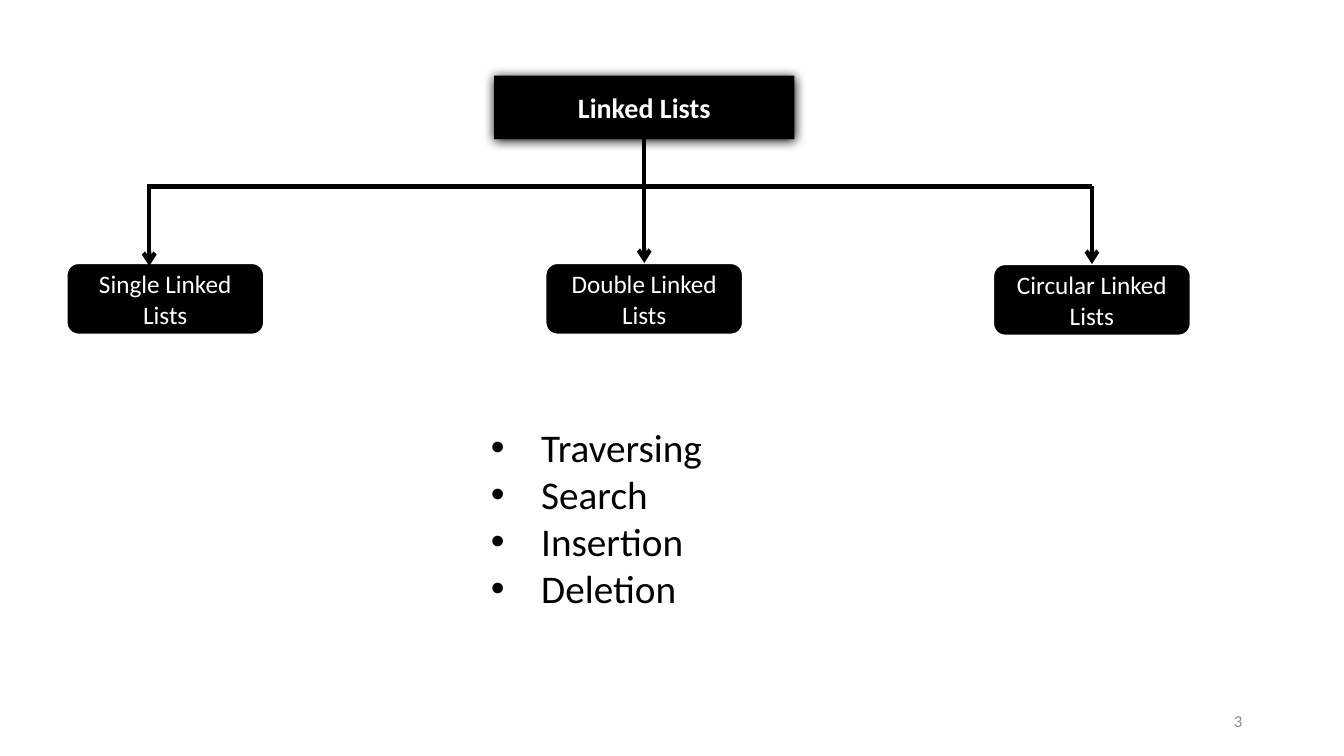
from lxml import etree
from pptx import Presentation
from pptx.dml.color import RGBColor
from pptx.enum.shapes import MSO_CONNECTOR, MSO_SHAPE
from pptx.enum.text import MSO_ANCHOR, PP_ALIGN
from pptx.oxml import parse_xml
from pptx.oxml.ns import nsdecls, qn
from pptx.util import Pt

PX = 9144
BLACK = RGBColor(0x00, 0x00, 0x00)
WHITE = RGBColor(0xFF, 0xFF, 0xFF)
OFF_WHITE = RGBColor(0xFD, 0xFD, 0xFD)
GRAY = RGBColor(0x8C, 0x8C, 0x8C)
RECT = MSO_SHAPE.RECTANGLE
ROUNDED = MSO_SHAPE.ROUNDED_RECTANGLE
STRAIGHT = MSO_CONNECTOR.STRAIGHT
MIDDLE = MSO_ANCHOR.MIDDLE
CENTER, RIGHT, LEFT = PP_ALIGN.CENTER, PP_ALIGN.RIGHT, PP_ALIGN.LEFT
BOTTOM_SITE, TOP_SITE = 2, 0


def write(sp, lines, align, size, color, bold=False):
    tf = sp.text_frame
    tf.word_wrap = True
    for i, line in enumerate(lines):
        p = tf.paragraphs[0] if i == 0 else tf.add_paragraph()
        p.alignment = align
        r = p.add_run()
        r.text = line
        font = {"name": "Calibri", "size": Pt(size), "bold": bold}
        for key, value in font.items():
            setattr(r.font, key, value)
        r.font.color.rgb = color
    return tf


def connect(x1, y1, x2, y2, arrow=False):
    line = s.shapes.add_connector(STRAIGHT, x1 * PX, y1 * PX, x2 * PX, y2 * PX)
    line.line.color.rgb = BLACK
    line.line.width = Pt(3)
    if arrow:
        ln = line.line._get_or_add_ln()
        etree.SubElement(ln, qn("a:tailEnd"), type="arrow")
    etree.SubElement(line._element.spPr, qn("a:effectLst"))
    return line


prs = Presentation()
prs.slide_width, prs.slide_height = 1333 * PX, 750 * PX
s = prs.slides.add_slide(prs.slide_layouts[6])

number = s.shapes.add_textbox(942 * PX, 695 * PX, 300 * PX, 40 * PX)
write(number, ["3"], RIGHT, 12, GRAY).vertical_anchor = MIDDLE

root = s.shapes.add_shape(RECT, 490 * PX, 75 * PX, 298 * PX, 63 * PX)
root.fill.solid()
root.fill.fore_color.rgb = BLACK
root.line.fill.background()
root.shadow.inherit = False
root._element.spPr.find(qn("a:effectLst")).append(parse_xml(
    f'<a:outerShdw {nsdecls("a")} blurRad="107950" dist="12700" dir="5400000">'
    '<a:srgbClr val="000000"/></a:outerShdw>'))
write(root, ["Linked Lists"], CENTER, 20, OFF_WHITE, True).vertical_anchor = MIDDLE

stem = connect(639, 138, 639, 185)
stem.begin_connect(root, BOTTOM_SITE)
connect(146, 185, 1083, 185)

kinds = [
    ("Single Linked Lists", 66, 261, 148),
    ("Double Linked Lists", 541, 261, 639),
    ("Circular Linked Lists", 985, 262, 1083),
]
box_width, box_height = 196, 71
for name, left, top, arrow_x in kinds:
    box = s.shapes.add_shape(ROUNDED, left * PX, top * PX, box_width * PX, box_height * PX)
    box.fill.solid()
    box.fill.fore_color.rgb = BLACK
    box.line.color.rgb = WHITE
    box.line.width = Pt(1.5)
    box.shadow.inherit = False
    write(box, [name], CENTER, 18, WHITE).vertical_anchor = MIDDLE
    arrow = connect(arrow_x, 185, arrow_x, top + 3, arrow=True)
    if arrow_x == left + box_width // 2:
        arrow.end_connect(box, TOP_SITE)

operations = s.shapes.add_textbox(377 * PX, 415 * PX, 667 * PX, 199 * PX)
tf = write(operations, ["Traversing", "Search", "Insertion", "Deletion"], LEFT, 28, BLACK)
for p in tf.paragraphs:
    p.level = 2
    pPr = p._p.get_or_add_pPr()
    pPr.set("marL", str(150 * PX))
    pPr.set("indent", str(-50 * PX))
    etree.SubElement(pPr, qn("a:buFont"), typeface="Arial")
    etree.SubElement(pPr, qn("a:buChar"), char="•")

prs.save("out.pptx")
